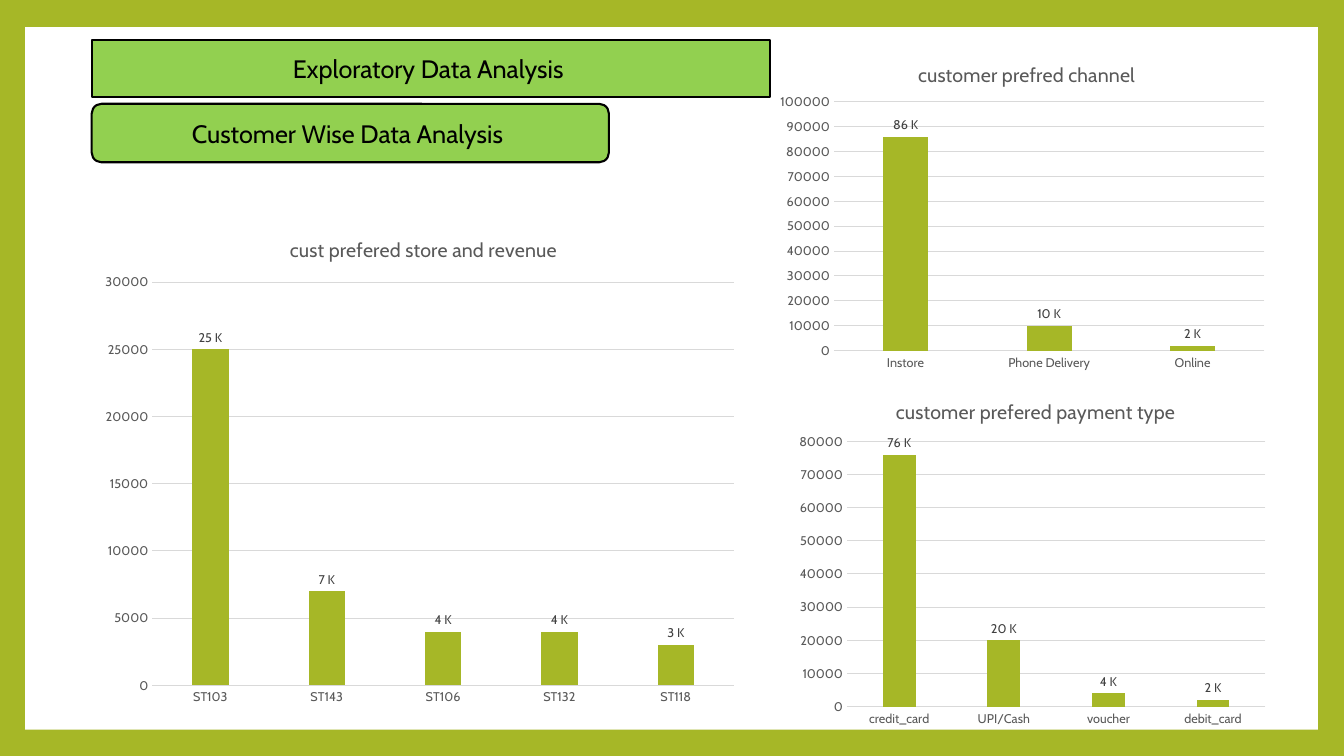
import pptx
import pptx.chart.data
import pptx.dml.color
import pptx.enum.chart
import pptx.enum.shapes
import pptx.enum.text
import pptx.oxml
import pptx.oxml.ns
import pptx.util
from pptx.util import Inches

FONT = "Cabin"
OLIVE = "A6B727"
GREEN = "92D050"
GREY = "595959"
GRID = "D9D9D9"
BLACK = "000000"
WHITE = "FFFFFF"

# title, frame, plot area, title corner, axis maximum, axis step, values by category
CHARTS = [
    ("cust prefered store and revenue", (0.91, 2.12, 6.51, 4.98),
     (1.51, 2.8, 5.77, 4), (2.84, 2.31), 30000, 5000,
     {"ST103": 25000, "ST143": 7000, "ST106": 4000, "ST132": 4000, "ST118": 3000}),
    ("customer prefred channel", (7.64, 0.4, 5, 3.35),
     (8.27, 1.01, 4.27, 2.47), (9.07, 0.57), 100000, 10000,
     {"Instore": 86000, "Phone Delivery": 10000, "Online": 2000}),
    ("customer prefered payment type", (7.83, 3.75, 4.81, 3.52),
     (8.4, 4.38, 4.15, 2.63), (8.85, 3.92), 80000, 10000,
     {"credit_card": 76000, "UPI/Cash": 20000, "voucher": 4000, "debit_card": 2000}),
]


def color(hex_string):
    return pptx.dml.color.RGBColor.from_string(hex_string)


def set_fill(fill, hex_string):
    fill.solid()
    fill.fore_color.rgb = color(hex_string)


def set_line(line, hex_string, width):
    set_fill(line.fill, hex_string)
    line.width = pptx.util.Pt(width)


def set_font(font, size, hex_string):
    font.name = FONT
    font.size = pptx.util.Pt(size)
    font.bold = False
    font.color.rgb = color(hex_string)


def add_panel(slide):
    """Put the white panel behind everything else on the slide."""
    panel = slide.shapes.add_shape(
        pptx.enum.shapes.MSO_SHAPE.RECTANGLE,
        Inches(0.25), Inches(0.27), Inches(12.82), Inches(6.97))
    panel.shadow.inherit = False
    set_fill(panel.fill, WHITE)
    panel.line.fill.background()
    slide.shapes.title.element.addprevious(panel.element)


def format_banner(shape, text):
    set_fill(shape.fill, GREEN)
    set_line(shape.line, BLACK, 1.5)
    frame = shape.text_frame
    frame.word_wrap = True
    frame.auto_size = pptx.enum.text.MSO_AUTO_SIZE.NONE
    frame.vertical_anchor = pptx.enum.text.MSO_ANCHOR.MIDDLE
    paragraph = frame.paragraphs[0]
    paragraph.alignment = pptx.enum.text.PP_ALIGN.CENTER
    run = paragraph.add_run()
    run.text = text
    set_font(run.font, 18, BLACK)


def add_title(slide, text):
    """Turn the title placeholder into a rounded banner."""
    title = slide.shapes.title
    title.left, title.top = Inches(0.91), Inches(0.4)
    title.width, title.height = Inches(6.73), Inches(0.56)
    title.element.spPr.append(pptx.oxml.parse_xml(
        f'<a:prstGeom {pptx.oxml.ns.nsdecls("a")} prst="roundRect"><a:avLst/></a:prstGeom>'))
    format_banner(title, text)


def add_subtitle(slide, text):
    subtitle = slide.shapes.add_shape(
        pptx.enum.shapes.MSO_SHAPE.ROUNDED_RECTANGLE,
        Inches(0.91), Inches(1.03), Inches(5.13), Inches(0.58))
    subtitle.shadow.inherit = False
    format_banner(subtitle, text)


def place_in_chart(element, index, frame, box, target=""):
    """Give a chart part a manual position, from slide inches to chart fractions."""
    for layout in element.xpath("c:layout"):
        element.remove(layout)
    left, top, width, height = frame
    x, y = (box[0] - left) / width, (box[1] - top) / height
    parts = [("xMode", "edge"), ("yMode", "edge"), ("x", x), ("y", y)]
    if target:
        parts.insert(0, ("layoutTarget", target))
        parts += [("w", box[2] / width), ("h", box[3] / height)]
    content = "".join(f'<c:{name} val="{value}"/>' for name, value in parts)
    element.insert(index, pptx.oxml.parse_xml(
        f'<c:layout {pptx.oxml.ns.nsdecls("c")}>'
        f'<c:manualLayout>{content}</c:manualLayout></c:layout>'))


def format_axes(chart, maximum, step):
    for axis in (chart.category_axis, chart.value_axis):
        axis.major_tick_mark = pptx.enum.chart.XL_TICK_MARK.NONE
        axis.minor_tick_mark = pptx.enum.chart.XL_TICK_MARK.NONE
        set_font(axis.tick_labels.font, 9, GREY)
    set_line(chart.category_axis.format.line, GRID, 0.75)
    values = chart.value_axis
    values.format.line.fill.background()
    values.minimum_scale, values.maximum_scale = 0, maximum
    values.major_unit = step
    values.has_major_gridlines = True
    set_line(values.major_gridlines.format.line, GRID, 0.75)


def format_columns(plot):
    plot.gap_width = 219
    plot.overlap = -27
    plot.vary_by_categories = False
    series = plot.series[0]
    series.invert_if_negative = False
    set_fill(series.format.fill, OLIVE)
    labels = series.data_labels
    labels.show_value = True
    labels.position = pptx.enum.chart.XL_LABEL_POSITION.OUTSIDE_END
    labels.number_format = '#,\\ "K"'
    labels.number_format_is_linked = False
    set_font(labels.font, 9, "404040")


def add_column_chart(slide, title, frame, plot_box, title_corner, maximum, step, values):
    data = pptx.chart.data.CategoryChartData()
    data.categories = list(values)
    data.add_series("Series 1", list(values.values()))
    chart = slide.shapes.add_chart(
        pptx.enum.chart.XL_CHART_TYPE.COLUMN_CLUSTERED,
        *(Inches(length) for length in frame), data).chart
    set_font(chart.font, 10, BLACK)
    chart.has_legend = False
    chart.has_title = True
    run = chart.chart_title.text_frame.paragraphs[0].add_run()
    run.text = title
    set_font(run.font, 14, GREY)
    format_axes(chart, maximum, step)
    format_columns(chart.plots[0])
    place_in_chart(chart.element.xpath("c:chart/c:title")[0], 1, frame, title_corner)
    place_in_chart(chart.element.xpath("c:chart/c:plotArea")[0], 0, frame, plot_box, "inner")


def main():
    presentation = pptx.Presentation()
    presentation.slide_width = Inches(13.33)
    presentation.slide_height = Inches(7.5)
    slide = presentation.slides.add_slide(presentation.slide_layouts[5])
    set_fill(slide.background.fill, OLIVE)
    add_panel(slide)
    for chart in CHARTS:
        add_column_chart(slide, *chart)
    add_title(slide, "Exploratory Data Analysis ")
    add_subtitle(slide, "Customer Wise Data Analysis ")
    presentation.save("out.pptx")


if __name__ == "__main__":
    main()
